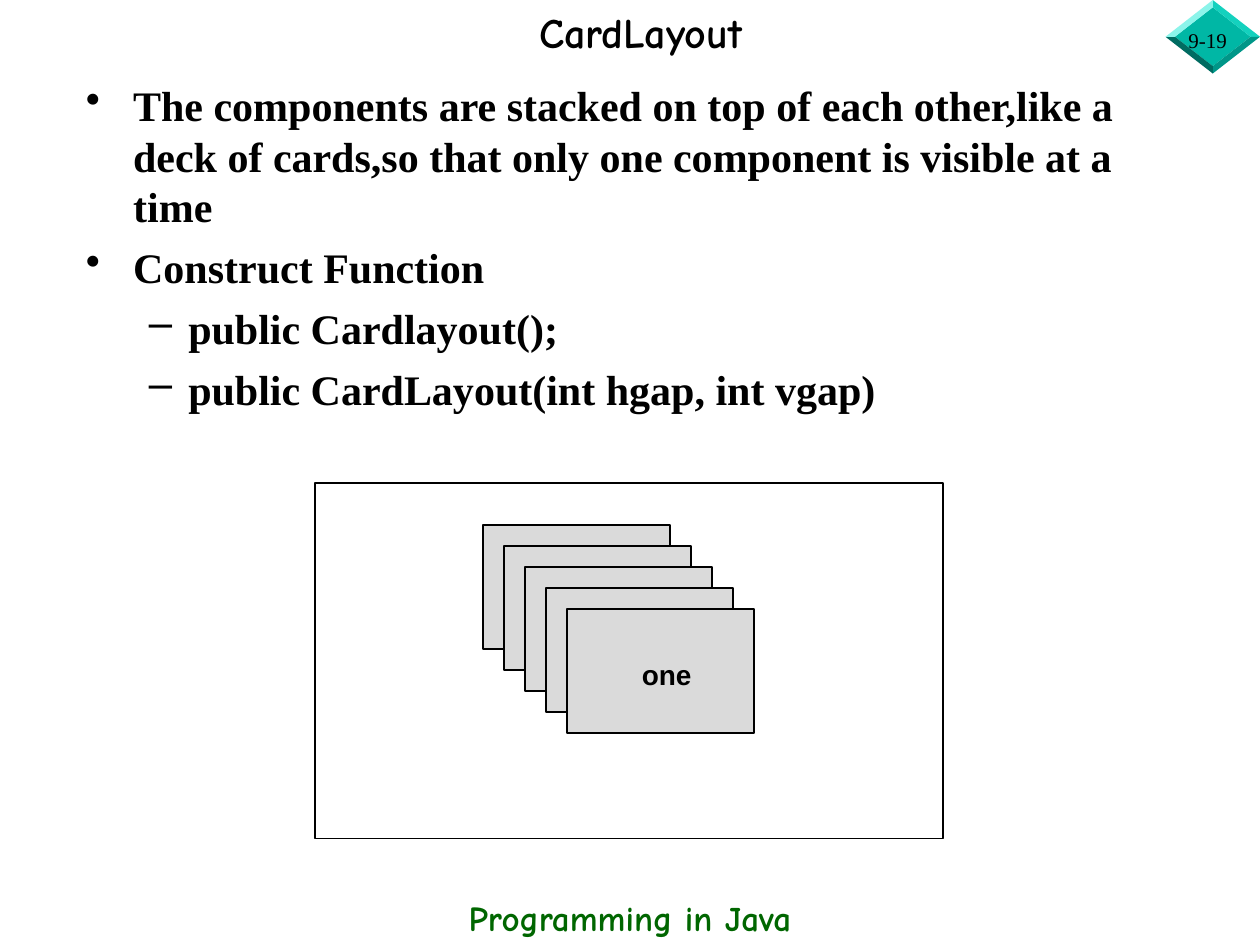
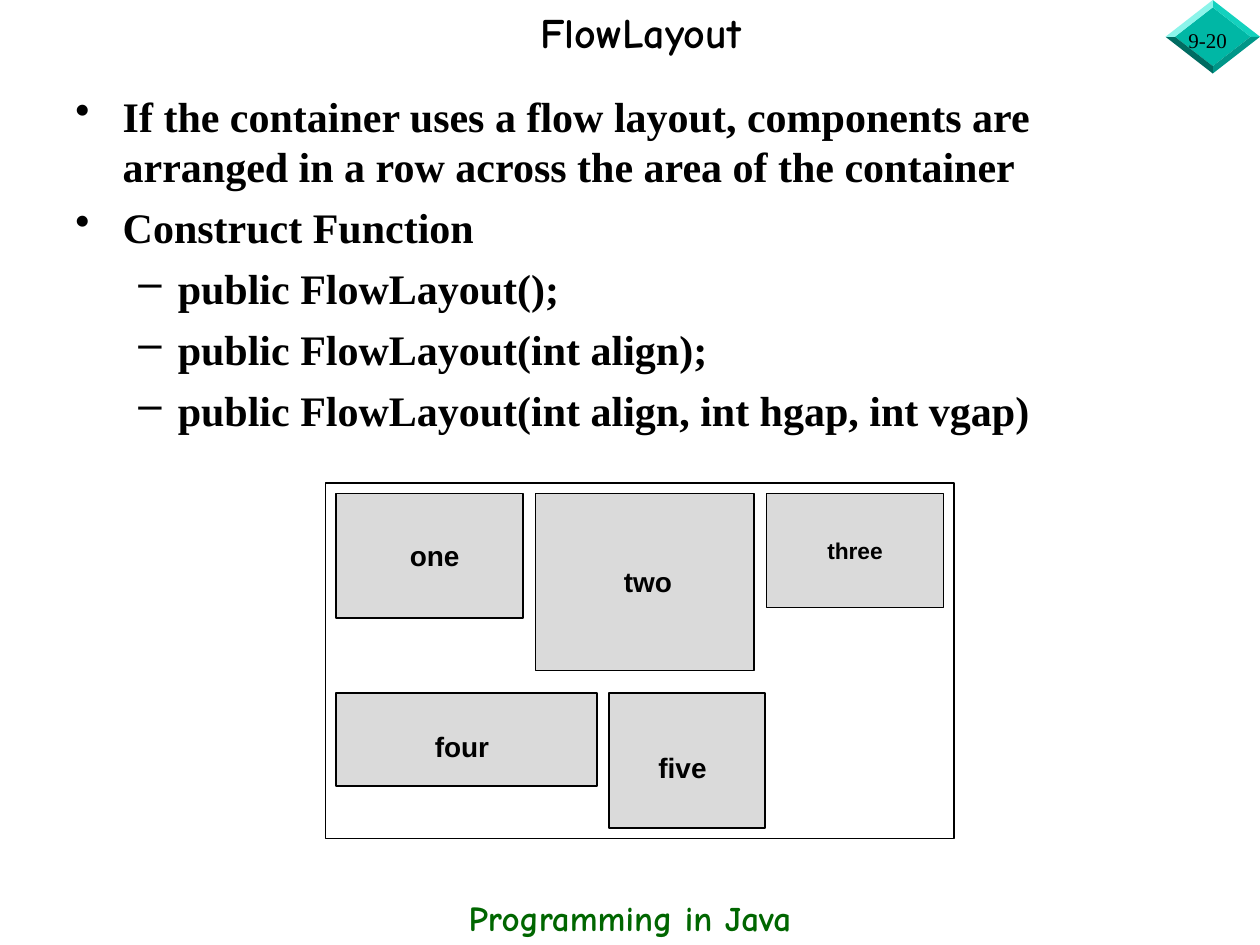
import pptx
import pptx.util
import pptx.dml.color
import pptx.enum.shapes
import pptx.enum.text
import pptx.oxml.ns
import lxml.etree

COLUMNS, ROWS = 120, 90
WIDTH, HEIGHT = pptx.util.Inches(10), pptx.util.Inches(7.5)
BLACK, GREEN, CARD_GREY = "000000", "006600", "DADADA"
SERIF, SANS, HAND = "Times New Roman", "Arial", "Comic Neue"
LEFT, CENTER = pptx.enum.text.PP_ALIGN.LEFT, pptx.enum.text.PP_ALIGN.CENTER
TOP, MIDDLE = pptx.enum.text.MSO_ANCHOR.TOP, pptx.enum.text.MSO_ANCHOR.MIDDLE
FRAME_SIZE = (60, 34)
EDGE = 0.15
BULLETS = [("•", 4.5, 4.5), ("–", 9.75, 3.75)]


def color(value):
    return pptx.dml.color.RGBColor.from_string(value)


def across(columns):
    return round(WIDTH * columns / COLUMNS)


def down(rows):
    return round(HEIGHT * rows / ROWS)


def place(box):
    left, top, width, height = box
    return across(left), down(top), across(width), down(height)


def style(paragraph, font_name, size, bold=True, font_color=BLACK, alignment=LEFT):
    paragraph.alignment = alignment
    font = paragraph.font
    font.name, font.size, font.bold = font_name, pptx.util.Pt(size), bold
    font.color.rgb = color(font_color)


def add_text(slide, box, text, font_name, size, anchor=TOP, wrap=True, **options):
    frame = slide.shapes.add_textbox(*place(box)).text_frame
    frame.word_wrap = wrap
    frame.vertical_anchor = anchor
    frame.text = text
    style(frame.paragraphs[0], font_name, size, **options)


def add_gem(slide, box):
    left, top, width, height = box
    rim = 0.1

    def corners(inset):
        points = [(0.5, inset), (1 - inset, 0.5), (0.5, 1 - inset), (inset, 0.5)]
        return [(across(left + width * x), down(top + height * y)) for x, y in points]

    outer, inner = corners(0), corners(rim)
    facets = [(inner, "00B7A5")]
    for side, shade in enumerate(["14D1BE", "009688", "006B61", "8CF4EA"]):
        following = (side + 1) % 4
        facets.append(([inner[side], outer[side], outer[following], inner[following]], shade))
    group = slide.shapes.add_group_shape()
    for points, shade in facets:
        builder = group.shapes.build_freeform(*points[0])
        builder.add_line_segments(points[1:])
        facet = builder.convert_to_shape()
        facet.shadow.inherit = False
        facet.fill.solid()
        facet.fill.fore_color.rgb = color(shade)
        facet.line.fill.background()


def add_bullet(paragraph, level):
    symbol, margin, hanging = BULLETS[level]
    paragraph.level = level
    properties = paragraph._p.get_or_add_pPr()
    properties.set("marL", str(across(margin)))
    properties.set("indent", str(-across(hanging)))
    bullet = lxml.etree.SubElement(properties, pptx.oxml.ns.qn("a:buChar"))
    bullet.set("char", symbol)


def add_body(slide, box, items):
    frame = slide.shapes.add_textbox(*place(box)).text_frame
    frame.word_wrap = True
    for index, (level, text) in enumerate(items):
        paragraph = frame.add_paragraph() if index else frame.paragraphs[0]
        paragraph.text = text
        add_bullet(paragraph, level)
        if index:
            paragraph.space_before = pptx.util.Pt(6)
        style(paragraph, SERIF, 24)


def add_panel(slide, left, top, size, fill=None):
    width, height = size
    panel = slide.shapes.add_shape(
        pptx.enum.shapes.MSO_SHAPE.RECTANGLE,
        *place((left, top, width - EDGE, height - EDGE)))
    panel.shadow.inherit = False
    panel.line.color.rgb = color(BLACK)
    panel.line.width = pptx.util.Pt(1)
    if fill:
        panel.fill.solid()
        panel.fill.fore_color.rgb = color(fill)
    else:
        panel.fill.background()
    return panel


def add_label(slide, left, top, size, text, shift):
    label_width, label_height = 9, 4.5
    label_left = left + (size[0] - label_width) / 2 + shift[0]
    label_top = top + (size[1] - label_height) / 2 + shift[1]
    add_text(slide, (label_left, label_top, label_width, label_height), text, SANS, 16,
             wrap=False, alignment=CENTER)


def add_card_stack(slide, left, top):
    add_panel(slide, left, top, FRAME_SIZE)
    card_size, count, step = (18, 12), 5, 2
    for index in range(count):
        card_left, card_top = left + 16 + step * index, top + 4 + step * index
        add_panel(slide, card_left, card_top, card_size, CARD_GREY)
    add_label(slide, card_left, card_top, card_size, "one", (0.5, 0.3))


def add_flow(slide, left, top):
    add_panel(slide, left, top, FRAME_SIZE)
    gap = 1
    flow_rows = [
        [("one", (18, 12), (0.4, -0.1)), ("two", (21, 17), (0.2, -0.1)), ("three", (17, 11), None)],
        [("four", (25, 9), (-0.5, 0.6)), ("five", (15, 13), (-0.5, 0.6))],
    ]
    row_top = top + gap
    for flow_row in flow_rows:
        cell_left = left + gap
        for text, size, shift in flow_row:
            panel = add_panel(slide, cell_left, row_top, size, CARD_GREY)
            if shift:
                add_label(slide, cell_left, row_top, size, text, shift)
            else:
                panel.text_frame.word_wrap = False
                panel.text_frame.vertical_anchor = MIDDLE
                panel.text_frame.text = text
                style(panel.text_frame.paragraphs[0], SANS, 13, alignment=CENTER)
            cell_left += size[0] + gap
        row_top += max(size[1] for text, size, shift in flow_row) + 2 * gap


def add_layout_slide(presentation, number, title, body_box, items, add_diagram, diagram_left):
    slide = presentation.slides.add_slide(presentation.slide_layouts[6])
    add_gem(slide, (111, 0, 9, 7))
    add_text(slide, (112, 2, 8, 3.6), number, SERIF, 12, bold=False)
    add_text(slide, (0, 84.8, COLUMNS, 5.2), "Programming in Java", HAND, 20,
             font_color=GREEN, alignment=CENTER)
    add_body(slide, body_box, items)
    add_text(slide, (10, 0, 102, 6), title, HAND, 24, anchor=MIDDLE, alignment=CENTER)
    add_diagram(slide, diagram_left, 46)


def main():
    presentation = pptx.Presentation()
    presentation.slide_width, presentation.slide_height = WIDTH, HEIGHT
    add_layout_slide(presentation, "9-19", "CardLayout", (7, 7, 102, 33), [
        (0, "The components are stacked on top of each other,like a deck of cards,"
            "so that only one component is visible at a time"),
        (0, "Construct Function"),
        (1, "public Cardlayout();"),
        (1, "public CardLayout(int hgap, int vgap)"),
    ], add_card_stack, 30)
    add_layout_slide(presentation, "9-20", "FlowLayout", (6, 8, 110, 34), [
        (0, "If the container uses a flow layout, components are arranged in a row "
            "across the area of the container"),
        (0, "Construct Function"),
        (1, "public FlowLayout();"),
        (1, "public FlowLayout(int align);"),
        (1, "public FlowLayout(int align, int hgap, int vgap)"),
    ], add_flow, 31)
    presentation.save("out.pptx")


if __name__ == "__main__":
    main()
